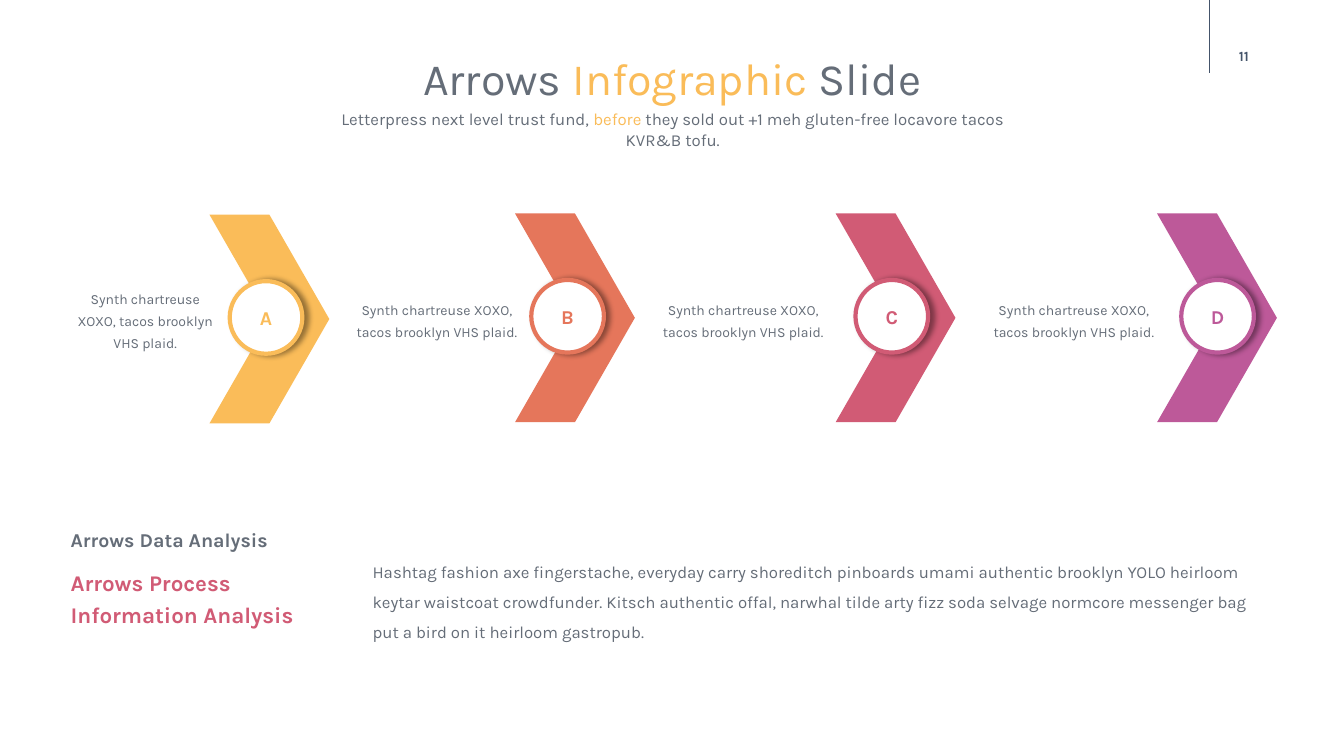
"""Builds the Arrows infographic slide with four lettered chevrons."""
from lxml import etree
from pptx import Presentation
from pptx import util as u
from pptx.dml.color import RGBColor
from pptx.enum import shapes, text
from pptx.oxml.ns import qn

THEME = {
    "font": "Karla",
    "grey": "656D78", "navy": "44546A", "white": "FFFFFF", "black": "000000",
    "yellow": "FABC59", "orange": "E5765B", "red": "D15B75", "purple": "BD5999",
    "title": 32, "heading": 16, "label": 14, "body": 12, "small": 10,
}
CAPTION = "Synth chartreuse XOXO, tacos brooklyn VHS plaid."
STEPS = [
    {"letter": "A", "color": "yellow", "top": 5.41, "chevron": 5.28, "badge": 5.79, "caption": (1.78, 3.76)},
    {"letter": "B", "color": "orange", "top": 5.38, "chevron": 12.98, "badge": 13.39, "caption": (8.94, 4.14)},
    {"letter": "C", "color": "red", "top": 5.38, "chevron": 21.06, "badge": 21.56, "caption": (16.66, 4.14)},
    {"letter": "D", "color": "purple", "top": 5.38, "chevron": 29.16, "badge": 29.77, "caption": (24.99, 4.14)},
]
CENTER, LEFT = text.PP_ALIGN.CENTER, text.PP_ALIGN.LEFT
TOP, MIDDLE = text.MSO_ANCHOR.TOP, text.MSO_ANCHOR.MIDDLE
INSET = (0.25, 0.13)
TEXTS = [
    {"box": (30.33, 0.91, 2.03, 1.02), "runs": [("11", "navy")], "size": "small",
     "bold": True, "align": CENTER, "anchor": MIDDLE},
    {"box": (6.45, 1.14, 20.98, 1.63), "size": "title", "align": CENTER, "inset": INSET,
     "runs": [("Arrows ", "grey"), ("Infographic ", "yellow"), ("Slide", "grey")]},
    {"box": (8.13, 2.62, 17.65, 0.76), "size": "body", "align": CENTER, "inset": INSET,
     "runs": [("Letterpress next level trust fund, ", "grey"), ("before", "yellow"),
              (" they sold out +1 meh gluten-free locavore tacos KVR&B tofu.", "grey")]},
    {"box": (1.78, 13.36, 7.32, 0.84), "runs": [("Arrows Data Analysis", "grey")],
     "size": "label", "bold": True, "spacing": 0.9, "before": 7.5},
    {"box": (1.78, 14.2, 7.32, 2.74), "runs": [("Arrows Process Information Analysis", "red")],
     "size": "heading", "bold": True, "spacing": 1.2},
    {"box": (9.14, 13.77, 23.11, 1.7), "size": "body", "spacing": 1.5, "inset": INSET,
     "runs": [("Hashtag fashion axe fingerstache, everyday carry shoreditch pinboards umami "
               "authentic brooklyn YOLO heirloom keytar waistcoat crowdfunder. Kitsch authentic "
               "offal, narwhal tilde arty fizz soda selvage normcore messenger bag put a bird "
               "on it heirloom gastropub.", "grey")]},
]
CHEVRON_SIZE = (3.02, 5.26)
BADGE_SIZE = 1.83


def color(name):
    return RGBColor.from_string(THEME[name])


def write(shape, runs, size, bold=False, align=LEFT, anchor=TOP,
          spacing=None, before=None, inset=(0, 0)):
    frame = shape.text_frame
    frame.word_wrap = True
    frame.vertical_anchor = anchor
    frame.margin_left = frame.margin_right = u.Cm(inset[0])
    frame.margin_top = frame.margin_bottom = u.Cm(inset[1])
    paragraph = frame.paragraphs[0]
    paragraph.alignment = align
    if spacing:
        paragraph.line_spacing = spacing
    if before:
        paragraph.space_before = u.Pt(before)
    for words, name in runs:
        run = paragraph.add_run()
        run.text = words
        run.font.name = THEME["font"]
        run.font.size = u.Pt(THEME[size])
        run.font.bold = bold
        run.font.color.rgb = color(name)


def add_text(slide, box, **style):
    write(slide.shapes.add_textbox(*map(u.Cm, box)), **style)


def add_filled(parent, kind, box, fill):
    shape = parent.add_shape(kind, *map(u.Cm, box))
    shape.shadow.inherit = False
    shape.fill.solid()
    shape.fill.fore_color.rgb = color(fill)
    shape.line.fill.background()
    return shape


def cast_shadow(shape):
    effects = shape._element.spPr.find(qn("a:effectLst"))
    shadow = etree.SubElement(effects, qn("a:outerShdw"), blurRad=str(u.Pt(4)),
                              dist=str(u.Pt(3)), dir="0", algn="l", rotWithShape="0")
    tint = etree.SubElement(shadow, qn("a:srgbClr"), val=THEME["black"])
    etree.SubElement(tint, qn("a:alpha"), val="40000")


def add_step(slide, step):
    group = slide.shapes.add_group_shape().shapes
    width, height = CHEVRON_SIZE
    add_filled(group, shapes.MSO_SHAPE.CHEVRON,
               (step["chevron"], step["top"], width, height), step["color"])
    badge_top = step["top"] + (height - BADGE_SIZE) / 2 - 0.04
    badge = add_filled(group, shapes.MSO_SHAPE.OVAL,
                       (step["badge"], badge_top, BADGE_SIZE, BADGE_SIZE), "white")
    badge.line.color.rgb = color(step["color"])
    badge.line.width = u.Pt(3)
    cast_shadow(badge)
    write(badge, [(step["letter"], step["color"])], "label", bold=True,
          align=CENTER, anchor=MIDDLE)
    left, caption_width = step["caption"]
    add_text(slide, (left, 7.47, caption_width, 1.12), runs=[(CAPTION, "grey")],
             size="small", align=CENTER, anchor=MIDDLE, spacing=1.3)


def main():
    presentation = Presentation()
    presentation.slide_width, presentation.slide_height = u.Cm(33.87), u.Cm(19.05)
    slide = presentation.slides.add_slide(presentation.slide_layouts[6])
    rule = slide.shapes.add_connector(shapes.MSO_CONNECTOR.STRAIGHT,
                                      u.Cm(30.48), u.Cm(0), u.Cm(30.48), u.Cm(1.85))
    rule.line.color.rgb = color("navy")
    rule.line.width = u.Pt(1)
    etree.SubElement(rule._element.spPr, qn("a:effectLst"))
    for step in STEPS:
        add_step(slide, step)
    for item in TEXTS:
        add_text(slide, **item)
    presentation.save("out.pptx")


if __name__ == "__main__":
    main()
